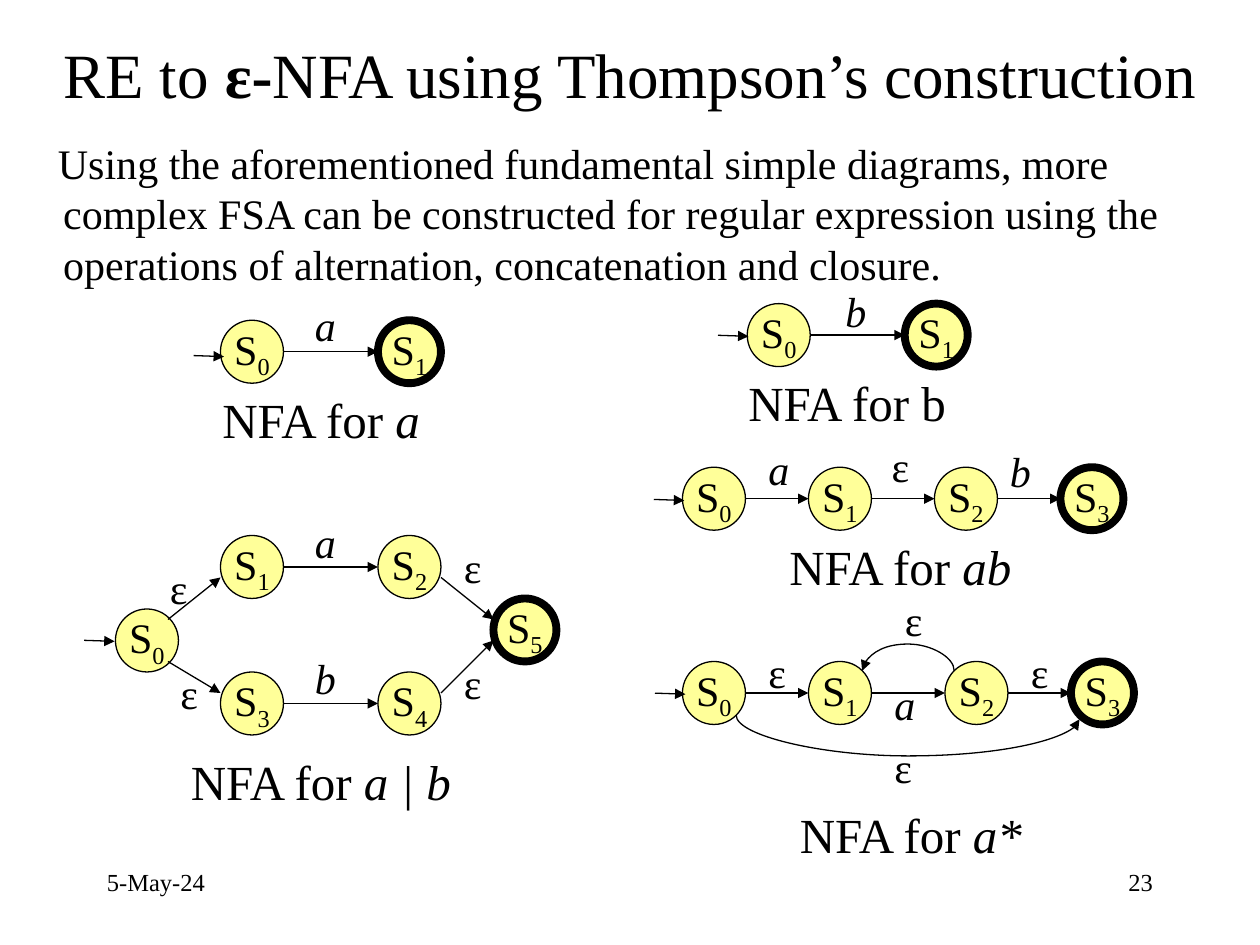
"""Build the slide on turning regular expressions into epsilon-NFAs."""
from lxml.etree import SubElement
from pptx import Presentation
from pptx.dml.color import RGBColor
from pptx.enum.shapes import MSO_CONNECTOR as Line, MSO_SHAPE as Shape
from pptx.enum.text import MSO_ANCHOR as Anchor, MSO_AUTO_SIZE as AutoSize, PP_ALIGN as Align
from pptx.oxml.ns import qn
from pptx.util import Pt

BLACK = RGBColor(0x00, 0x00, 0x00)
YELLOW = RGBColor(0xFF, 0xFF, 0x99)
FONT = "Times New Roman"
STATE = 36
RIGHT, LEFT = (36, 18), (0, 18)

TITLE = [("RE to ", ""), ("ε-", "b"), ("NFA using Thompson’s construction", "")]
INTRO = ("Using the aforementioned fundamental simple diagrams, more complex FSA can be "
         "constructed for regular expression using the operations of alternation, "
         "concatenation and closure.")
FOOTERS = [("5-May-24", 54, Align.LEFT), ("23", 516, Align.RIGHT)]


def row(y, *lefts):
    return [(x, y) for x in lefts]


def chain(count):
    return [(i, i + 1, RIGHT, LEFT) for i in range(count - 1)]


DIAGRAMS = [
    dict(states=row(183, 126, 216), links=chain(2), entry=(2, 20.8),
         labels=[("a", 172.8, 167.8)],
         caption=([("NFA for ", ""), ("a", "i")], 120, 219, 131)),
    dict(states=row(173.5, 427, 517), links=chain(2), entry=(0.7, 18.7),
         labels=[("b", 476, 159.8)],
         caption=([("NFA for b", "")], 420.5, 209.5, 129)),
    dict(states=row(267, 390, 462, 534, 606), links=chain(4), entry=(1, 19),
         labels=[("a", 432, 249.8), ("ε", 502.5, 248.4), ("b", 570, 251.3)],
         caption=([("NFA for ", ""), ("ab", "i")], 444, 303, 145.5)),
    dict(states=[(66, 348), (126, 306), (216, 306), (126, 384), (216, 384), (282, 342)],
         links=[(0, 1, (30, 6), (0, 24)), (0, 3, (30, 30), (0, 12)),
                (1, 2, RIGHT, LEFT), (3, 4, RIGHT, LEFT),
                (2, 5, (36, 24), (0, 12)), (4, 5, (36, 12), (0, 24))],
         entry=(-0.5, 18.5),
         labels=[("a", 172.8, 291.6), ("b", 172.8, 369.4), ("ε", 90, 318),
                 ("ε", 258, 372), ("ε", 258, 306), ("ε", 96, 378)],
         caption=([("NFA for ", ""), ("a | b", "i")], 102, 426, 167)),
    dict(states=row(378, 390, 462, 540, 612), links=chain(4), entry=(1.7, 18.7),
         arcs=[((420.7, 408.7), (616.9, 411), 432), ((545.3, 383.3), (492.7, 383.3), 367.2)],
         labels=[("a", 504, 384), ("ε", 504, 420), ("ε", 432, 366),
                 ("ε", 582, 366), ("ε", 510, 336)],
         caption=([("NFA for ", ""), ("a*", "i")], 450, 456, 145.5)),
]


def write(paragraph, runs, size):
    for text, style in runs:
        run = paragraph.add_run()
        run.text = text
        run.font.name, run.font.size = FONT, Pt(size)
        run.font.bold, run.font.italic = "b" in style, "i" in style
        run.font.color.rgb = BLACK


def add_text(slide, runs, left, top, width, height, size, wrap=False):
    frame = slide.shapes.add_textbox(Pt(left), Pt(top), Pt(width), Pt(height)).text_frame
    frame.word_wrap = wrap
    frame.auto_size = AutoSize.NONE if wrap else AutoSize.SHAPE_TO_FIT_TEXT
    write(frame.paragraphs[0], runs, size)
    return frame.paragraphs[0]


def add_state(slide, number, left, top, accepting):
    state = slide.shapes.add_shape(Shape.OVAL, Pt(left), Pt(top), Pt(STATE), Pt(STATE))
    state.shadow.inherit = False
    state.fill.solid()
    state.fill.fore_color.rgb = YELLOW
    state.line.color.rgb = BLACK
    state.line.width = Pt(4.5 if accepting else 0.75)
    frame = state.text_frame
    frame.word_wrap = False
    frame.vertical_anchor = Anchor.MIDDLE
    name = frame.paragraphs[0]
    name.alignment = Align.CENTER
    write(name, [("S", ""), (str(number), "")], 24)
    name.runs[1].font._element.set("baseline", "-25000")


def add_arrow(slide, start, end, kind=Line.STRAIGHT):
    arrow = slide.shapes.add_connector(kind, *(Pt(v) for v in (*start, *end)))
    arrow.line.color.rgb = BLACK
    arrow.line.width = Pt(0.75)
    SubElement(arrow.line._get_or_add_ln(), qn("a:tailEnd"), type="triangle")
    SubElement(arrow._element.spPr, qn("a:effectLst"))
    return arrow


def add_arc(slide, start, end, bend):
    (x1, y1), (x2, y2) = start, end
    depth, span = max(abs(y2 - y1), 0.12), abs(x2 - x1)
    left, top = (x1 + x2 - depth) / 2, (y1 + y2 - span) / 2
    arc = add_arrow(slide, (left, top), (left + depth, top + span), Line.CURVE)
    frame = arc._element.spPr.find(qn("a:xfrm"))
    frame.set("rot", str(270 * 60000))
    frame.set("flipH", "1")
    if x2 < x1:
        frame.set("flipV", "1")
    guides = arc._element.spPr.find(qn("a:prstGeom")).find(qn("a:avLst"))
    SubElement(guides, qn("a:gd"), name="adj1", fmla=f"val {round((bend - y1) / depth * 100000)}")


def shift(corner, offset):
    return corner[0] + offset[0], corner[1] + offset[1]


def draw(slide, states, links, entry, labels, caption, arcs=()):
    for number, corner in enumerate(states):
        add_state(slide, number, *corner, number == len(states) - 1)
    for source, target, leave, arrive in links:
        add_arrow(slide, shift(states[source], leave), shift(states[target], arrive))
    tip = shift(states[0], entry)
    add_arrow(slide, shift(tip, (-17.4, -0.6)), tip)
    for arc in arcs:
        add_arc(slide, *arc)
    for symbol, left, top in labels:
        is_epsilon = symbol == "ε"
        add_text(slide, [(symbol, "" if is_epsilon else "i")], left, top,
                 25 if is_epsilon else 26.5, STATE, 24)
    runs, left, top, width = caption
    add_text(slide, runs, left, top, width, 41, 28)


def main():
    deck = Presentation()
    deck.slide_width, deck.slide_height = Pt(720), Pt(540)
    slide = deck.slides.add_slide(deck.slide_layouts[5])

    title = slide.shapes.title
    title.left, title.top, title.width, title.height = Pt(12), Pt(12), Pt(696), Pt(60)
    title.text_frame.vertical_anchor = Anchor.MIDDLE
    heading = title.text_frame.paragraphs[0]
    heading.alignment = Align.CENTER
    write(heading, TITLE, 36)

    intro = add_text(slide, [(INTRO, "")], 2, 75, 720, 110, 24, wrap=True)
    intro._p.get_or_add_pPr().set("marL", str(Pt(27)))
    intro._p.get_or_add_pPr().set("indent", str(Pt(-3)))

    for diagram in DIAGRAMS:
        draw(slide, **diagram)
    for text, left, alignment in FOOTERS:
        add_text(slide, [(text, "")], left, 492, 150, 36, 14, wrap=True).alignment = alignment
    deck.save("out.pptx")


if __name__ == "__main__":
    main()
